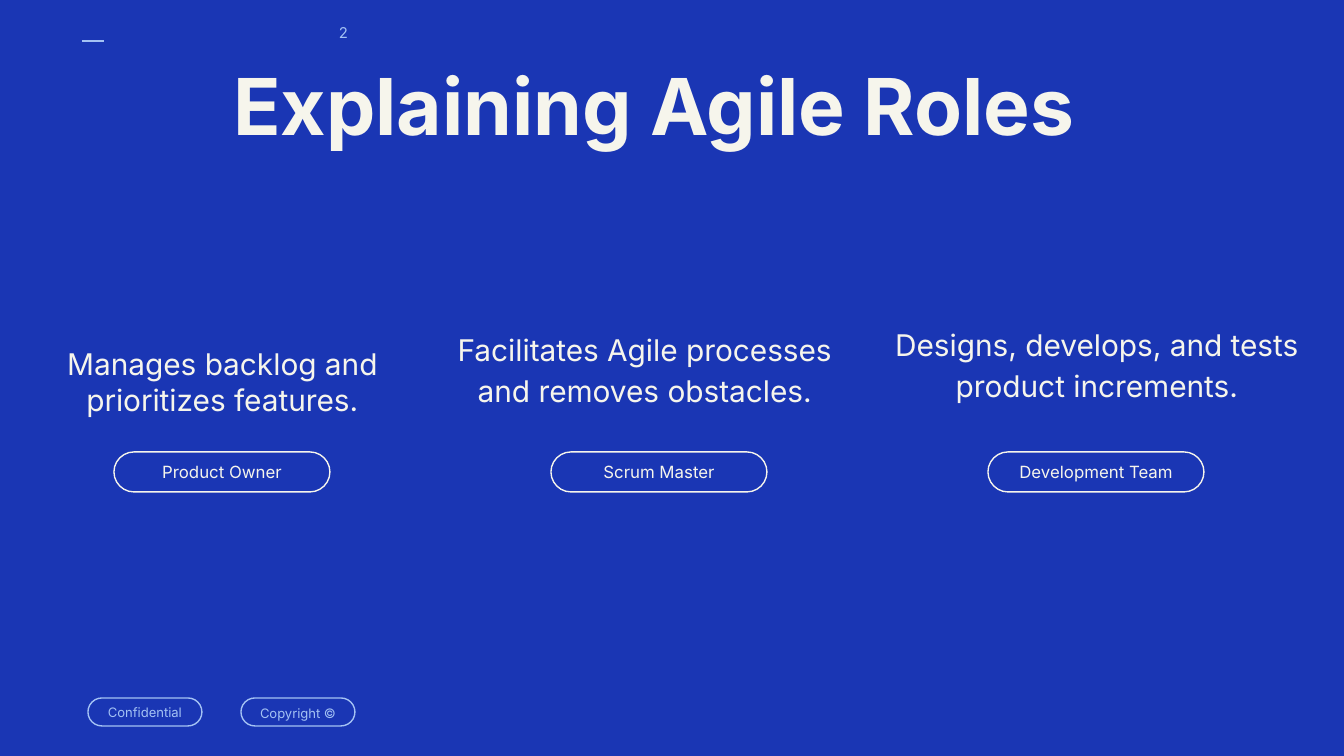
import pptx
import pptx.util
import pptx.dml.color
import pptx.enum.shapes
import pptx.enum.text
import pptx.oxml.ns
import lxml.etree

RGBColor = pptx.dml.color.RGBColor
BLUE = RGBColor(0x1A, 0x36, 0xB4)
CREAM = RGBColor(0xF6, 0xF5, 0xEC)
SKY = RGBColor(0xA4, 0xC2, 0xF4)
LEFT = pptx.enum.text.PP_ALIGN.LEFT
CENTER = pptx.enum.text.PP_ALIGN.CENTER
TOP = pptx.enum.text.MSO_ANCHOR.TOP
MIDDLE = pptx.enum.text.MSO_ANCHOR.MIDDLE
SCALE = 914400 / 134.4

TITLE = ("Explaining Agile Roles", (220, 62, 995, 136))
PAGE_NUMBER = ("2", (312, 4, 63, 58))
DASH = (82, 41, 104, 41)
FOOTER = [("Confidential", 1.0), ("Copyright ©", 1.15)]
ROLES = [
    ("Product Owner", "Manages backlog and prioritizes features.", (27, 332, 391, 101), 1.0),
    ("Scrum Master", "Facilitates Agile processes and removes obstacles.", (430, 313, 430, 109), 1.15),
    ("Development Team", "Designs, develops, and tests product increments.", (871, 308, 452, 148), 1.15),
]
FOOTER_PILL, FOOTER_STEP = (88, 698, 114, 28), 153
ROLE_PILL, ROLE_STEP = (114, 452, 216, 40), 437


def px(n):
    return pptx.util.Emu(round(n * SCALE))


def write(s, text, size, color, bold=False, align=CENTER, anchor=MIDDLE, spacing=1.0):
    tf = s.text_frame
    frame = {"word_wrap": True, "vertical_anchor": anchor}
    frame.update({f"margin_{side}": pptx.util.Inches(0.1) for side in ("left", "right", "top", "bottom")})
    for name, value in frame.items():
        setattr(tf, name, value)
    p = tf.paragraphs[0]
    p.alignment = align
    p.line_spacing = spacing
    r = p.add_run()
    r.text = text
    for name, value in {"name": "Inter", "size": pptx.util.Pt(size), "bold": bold}.items():
        setattr(r.font, name, value)
    r.font.color.rgb = color


def add_text(shapes, box, text, size, color, **style):
    write(shapes.add_textbox(*map(px, box)), text, size, color, **style)


def add_pill(shapes, box, text, size, color, **style):
    s = shapes.add_shape(pptx.enum.shapes.MSO_SHAPE.ROUNDED_RECTANGLE, *map(px, box))
    s.adjustments[0] = 0.5
    s.shadow.inherit = False
    s.fill.background()
    s.line.color.rgb = color
    s.line.width = pptx.util.Pt(0.75)
    write(s, text, size, color, **style)


def add_dash(shapes, ends):
    s = shapes.add_connector(pptx.enum.shapes.MSO_CONNECTOR.STRAIGHT, *map(px, ends))
    s.line.color.rgb = SKY
    s.line.width = pptx.util.Pt(0.75)
    sp = s._element.spPr
    lxml.etree.SubElement(sp, pptx.oxml.ns.qn("a:effectLst"))


def main():
    prs = pptx.Presentation()
    prs.slide_width, prs.slide_height = px(1344), px(756)
    slide = prs.slides.add_slide(prs.slide_layouts[6])
    slide.background.fill.solid()
    slide.background.fill.fore_color.rgb = BLUE
    shapes = slide.shapes

    add_dash(shapes, DASH)
    x, y, w, h = FOOTER_PILL
    for i, (label, spacing) in enumerate(FOOTER):
        add_pill(shapes, (x + i * FOOTER_STEP, y, w, h), label, 7, SKY, spacing=spacing)

    title, box = TITLE
    add_text(shapes, box, title, 42, CREAM, bold=True, align=LEFT, anchor=TOP, spacing=0.8)

    x, y, w, h = ROLE_PILL
    for i, (role, duty, box, spacing) in enumerate(ROLES):
        add_text(shapes, box, duty, 16, CREAM, anchor=TOP, spacing=spacing)
        add_pill(shapes, (x + i * ROLE_STEP, y, w, h), role, 9, CREAM)

    number, box = PAGE_NUMBER
    add_text(shapes, box, number, 8, SKY)
    prs.save("out.pptx")


if __name__ == "__main__":
    main()
